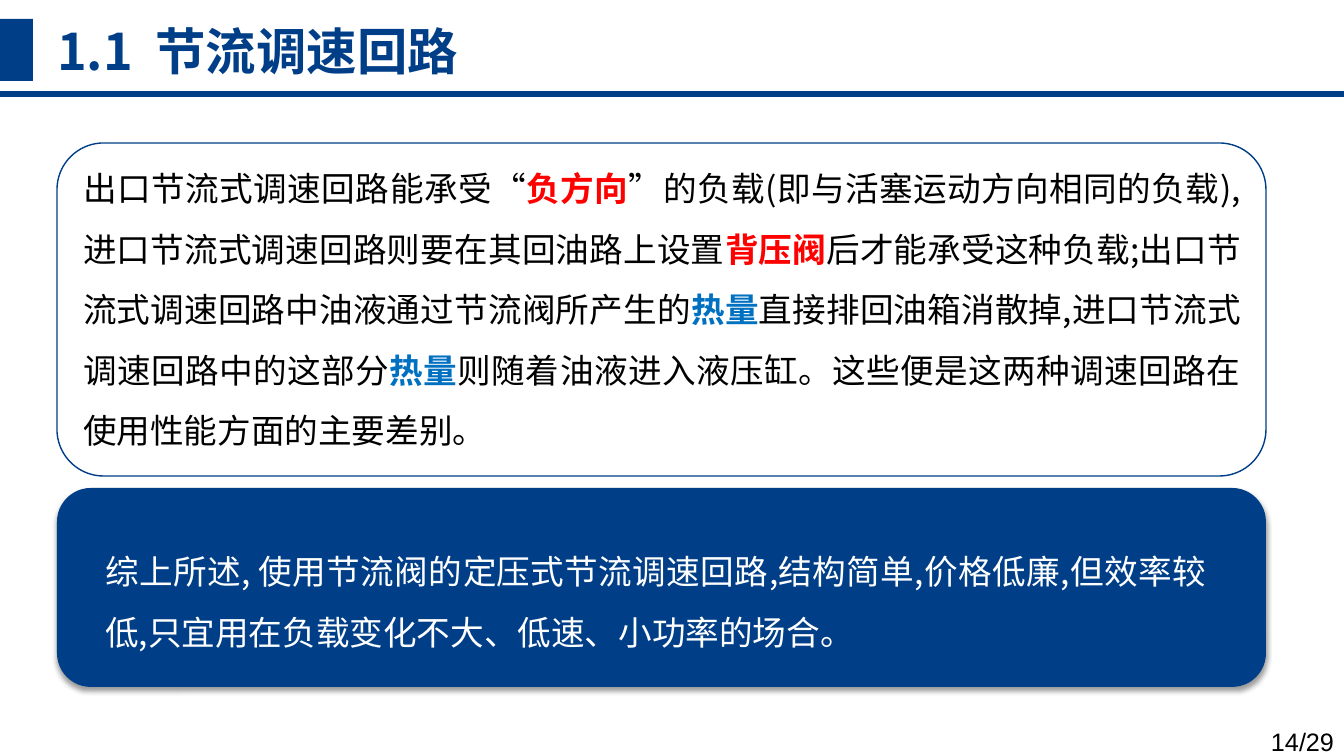
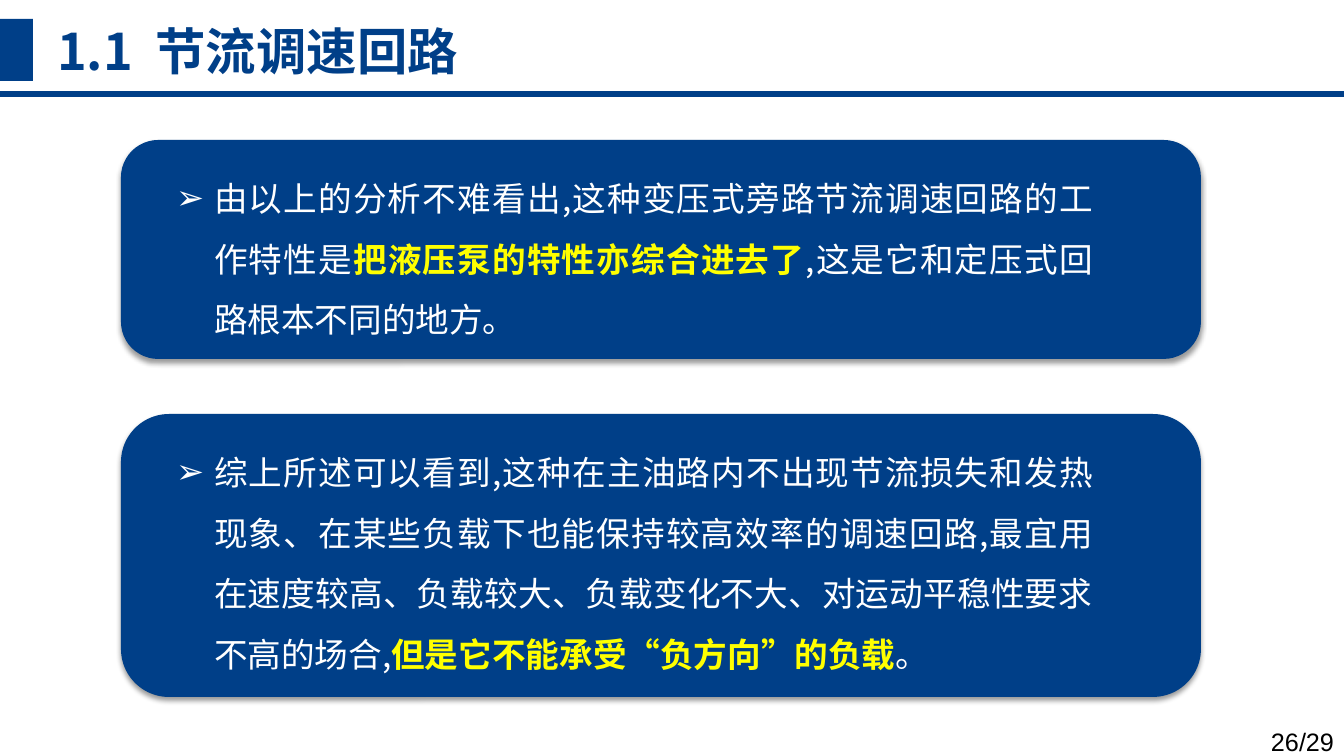
"""Build two slides on throttle speed-control circuits."""
import pptx
import pptx.dml.color
import pptx.enum.shapes
import pptx.enum.text
import pptx.oxml
import pptx.oxml.ns
import pptx.util

COLORS = {"navy": "003F88", "black": "000000", "white": "FFFFFF",
          "red": "FF0000", "blue": "0070C0", "yellow": "FFFF00"}
CJK, LATIN = "Noto Sans CJK SC", "Arial"
ALIGN = pptx.enum.text.PP_ALIGN
SHAPE = pptx.enum.shapes.MSO_SHAPE
NS = pptx.oxml.ns.nsdecls("a")
W, H = 1344, 756
EMU_PER_PX = 914400 / 100.8

TITLE = [("1.1", None), (" ", None), ("节流调速回路", None)]
TITLE_BOX = (47, 15, 440, 72)
MARKER_BOX = (0, 19, 33, 62)
RULE_Y = 94
PAGE_BOX = (1224, 721, 120, 40)
BULLET, INDENT = "➢", 38

SLIDES = [
    {"page": "14/29", "blocks": [
        {"card": (57, 143, 1209, 333), "filled": False, "radius": 0.14,
         "box": (73, 143, 1178, 306), "color": "black", "bullet": False,
         "runs": [
             ("出口节流式调速回路能承受“", None), ("负方向", "red"),
             ("”的负载(即与活塞运动方向相同的负载),进口节流式调速回路则要在其回油路上设置", None),
             ("背压阀", "red"),
             ("后才能承受这种负载;出口节流式调速回路中油液通过节流阀所产生的", None),
             ("热量", "blue"),
             ("直接排回油箱消散掉,进口节流式调速回路中的这部分", None),
             ("热量", "blue"),
             ("则随着油液进入液压缸。这些便是这两种调速回路在使用性能方面的主要差别。", None)]},
        {"card": (57, 488, 1209, 199), "filled": True, "radius": 0.17,
         "box": (95, 526, 1121, 125), "color": "white", "bullet": False,
         "runs": [
             ("综上所述, 使用节流阀的定压式节流调速回路,结构简单,价格低廉,但效率较低,"
              "只宜用在负载变化不大、低速、小功率的场合。", None)]}]},
    {"page": "26/29", "blocks": [
        {"card": (121, 140, 1080, 219), "filled": True, "radius": 0.17,
         "box": (166, 153, 937, 186), "color": "white", "bullet": True,
         "runs": [
             ("由以上的分析不难看出,这种变压式旁路节流调速回路的工作特性是", None),
             ("把液压泵的特性亦综合进去了", "yellow"),
             (",这是它和定压式回路根本不同的地方。", None)]},
        {"card": (121, 414, 1080, 283), "filled": True, "radius": 0.17,
         "box": (166, 427, 937, 254), "color": "white", "bullet": True,
         "runs": [
             ("综上所述可以看到,这种在主油路内不出现节流损失和发热现象、在某些负载下也能保持较高效率的调速回路,"
              "最宜用在速度较高、负载较大、负载变化不大、对运动平稳性要求不高的场合,", None),
             ("但是它不能承受“负方向”的负载", "yellow"), ("。", None)]}]},
]


def px(n):
    return pptx.util.Emu(round(n * EMU_PER_PX))


def rgb(name):
    return pptx.dml.color.RGBColor.from_string(COLORS[name])


def apply(target, values):
    for key, value in values.items():
        setattr(target, key, value)


def place(sp, box):
    apply(sp, dict(zip(("left", "top", "width", "height"), map(px, box))))


def add_effects(sp, inner=""):
    sp._element.spPr.append(pptx.oxml.parse_xml(f"<a:effectLst {NS}>{inner}</a:effectLst>"))


def write(sp, runs, size, color, font=CJK, bold=False, wrap=True, **para):
    tf = sp.text_frame
    apply(tf, {"word_wrap": wrap, "auto_size": pptx.enum.text.MSO_AUTO_SIZE.NONE,
               "vertical_anchor": pptx.enum.text.MSO_ANCHOR.TOP})
    p = tf.paragraphs[0]
    apply(p, {"space_before": pptx.util.Pt(0), **para})
    for text, accent in runs:
        r = p.add_run()
        r.text = text
        apply(r.font, {"size": pptx.util.Pt(size), "name": font,
                       "bold": bold or accent is not None})
        r.font.color.rgb = rgb(accent or color)
        rpr = r._r.get_or_add_rPr()
        rpr.set("lang", "zh-CN")
        rpr.find(pptx.oxml.ns.qn("a:latin")).addnext(
            pptx.oxml.parse_xml(f'<a:ea {NS} typeface="{font}"/>'))
    return p


def set_bullet(p, bullet):
    ppr = p._p.get_or_add_pPr()
    indent = px(INDENT) if bullet else 0
    ppr.set("marL", str(indent))
    ppr.set("indent", str(-indent))
    tag = f'<a:buChar {NS} char="{BULLET}"/>' if bullet else f"<a:buNone {NS}/>"
    ppr.append(pptx.oxml.parse_xml(tag))


def add_panel(s, kind, box, filled=True):
    sp = s.shapes.add_shape(kind, *map(px, box))
    sp.shadow.inherit = False
    if filled:
        sp.fill.solid()
        sp.fill.fore_color.rgb = rgb("navy")
        sp.line.fill.background()
    else:
        sp.fill.background()
        sp.line.color.rgb = rgb("navy")
        sp.line.width = pptx.util.Pt(1)
    s.shapes._spTree.insert(2, sp._element)
    return sp


def add_card(s, block):
    sp = add_panel(s, SHAPE.ROUNDED_RECTANGLE, block["card"], block["filled"])
    sp.adjustments[0] = block["radius"]
    if block["filled"]:
        effects = sp._element.spPr.find(pptx.oxml.ns.qn("a:effectLst"))
        sp._element.spPr.remove(effects)
        blur, dist = pptx.util.Pt(4), pptx.util.Pt(3)
        add_effects(sp, f'<a:outerShdw blurRad="{blur}" dist="{dist}" dir="5400000" '
                        f'algn="t" rotWithShape="0"><a:srgbClr val="{COLORS["black"]}">'
                        '<a:alpha val="40000"/></a:srgbClr></a:outerShdw>')


def add_frame(s, page):
    rule = s.shapes.add_connector(pptx.enum.shapes.MSO_CONNECTOR.STRAIGHT,
                                  *map(px, (0, RULE_Y, W, RULE_Y)))
    rule.line.color.rgb = rgb("navy")
    rule.line.width = pptx.util.Pt(4.5)
    add_effects(rule)
    add_panel(s, SHAPE.RECTANGLE, MARKER_BOX)
    place(s.shapes.title, TITLE_BOX)
    p = write(s.shapes.title, TITLE, 36, "navy", bold=True, wrap=False,
              alignment=ALIGN.LEFT)
    p.runs[1]._r.get_or_add_rPr().set("spc", "800")
    number = s.shapes.add_textbox(*map(px, PAGE_BOX))
    write(number, [(page, None)], 18, "black", font=LATIN, alignment=ALIGN.RIGHT)


def main():
    prs = pptx.Presentation()
    apply(prs, {"slide_width": px(W), "slide_height": px(H)})
    for content in SLIDES:
        s = prs.slides.add_slide(prs.slide_layouts[3])
        add_frame(s, content["page"])
        for idx, block in enumerate(content["blocks"], 1):
            add_card(s, block)
            body = s.placeholders[idx]
            place(body, block["box"])
            p = write(body, block["runs"], 24, block["color"],
                      alignment=ALIGN.JUSTIFY, line_spacing=1.5)
            set_bullet(p, block["bullet"])
    prs.save("out.pptx")


if __name__ == "__main__":
    main()
